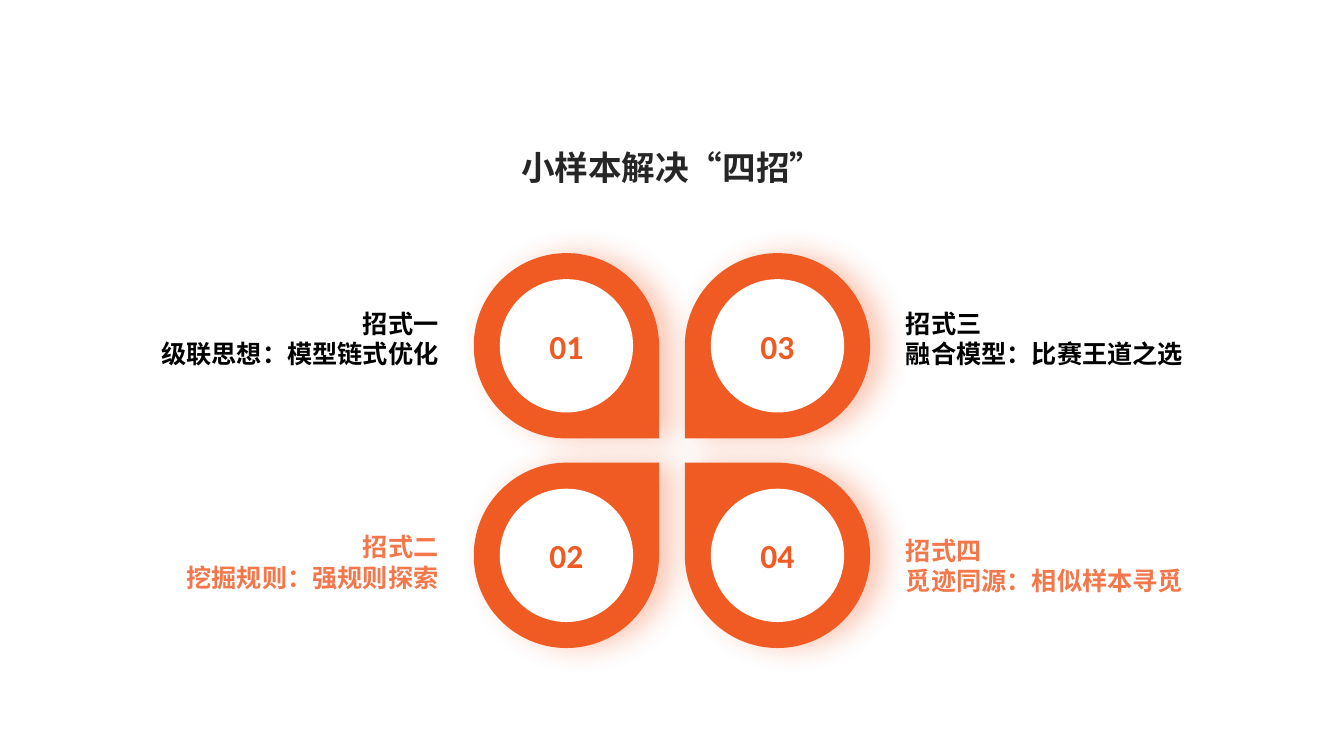
from dataclasses import dataclass

from lxml import etree
from pptx import Presentation
from pptx.dml.color import RGBColor
from pptx.enum import shapes, text
from pptx.oxml.ns import qn
from pptx.util import Cm, Pt

TITLE = "小样本解决“四招”"
# number, column, row, heading, detail, vertical anchor
MOVES = [
    ("01", 0, 0, "招式一", "级联思想：模型链式优化", text.MSO_ANCHOR.MIDDLE),
    ("02", 0, 1, "招式二", "挖掘规则：强规则探索", text.MSO_ANCHOR.MIDDLE),
    ("03", 1, 0, "招式三", "融合模型：比赛王道之选", text.MSO_ANCHOR.MIDDLE),
    ("04", 1, 1, "招式四", "觅迹同源：相似样本寻觅", text.MSO_ANCHOR.BOTTOM),
]


@dataclass(frozen=True)
class Theme:
    accent: str = "F05A23"
    white: str = "FFFFFF"
    title: str = "262626"
    row_colors: tuple = ("000000", "F3774B")
    title_font: str = "Noto Sans CJK SC"
    number_font: str = "Calibri"
    label_font: str = "Arial"
    large: int = 24
    label: int = 18


THEME = Theme()
PETAL_LEFT, PETAL_TOP, PETAL_SIZE = 11.94, 6.38, 4.67
PITCH_X, PITCH_Y = 5.32, 5.28
DISC_SIZE = 3.36
DISC_INSET = (PETAL_SIZE - DISC_SIZE) / 2
LABEL_LEFTS, LABEL_TOPS = (1.88, 22.58), (7.54, 13.18)
LABEL_WIDTH, LABEL_HEIGHT = 9.42, 1.96


def add_run(paragraph, words, font_name, size, color):
    run = paragraph.add_run()
    run.text = words
    run.font.name = font_name
    run.font.size = Pt(size)
    run.font.bold = True
    run.font.color.rgb = RGBColor.from_string(color)
    east_asian = etree.SubElement(run.font._element, qn("a:ea"))
    east_asian.set("typeface", font_name)


def add_filled(slide, kind, left, top, size, color):
    shape = slide.shapes.add_shape(kind, Cm(left), Cm(top), Cm(size), Cm(size))
    shape.shadow.inherit = False
    shape.fill.solid()
    shape.fill.fore_color.rgb = RGBColor.from_string(color)
    shape.line.fill.background()
    return shape


def add_glow(shape):
    """Give the shape a soft accent shadow, thrown to the right."""
    effects = shape.element.spPr.find(qn("a:effectLst"))
    shadow = etree.SubElement(
        effects, qn("a:outerShdw"), blurRad=str(Pt(20)), dist=str(Pt(10)),
        dir="0", algn="l", rotWithShape="0")
    color = etree.SubElement(shadow, qn("a:srgbClr"), val=THEME.accent)
    etree.SubElement(color, qn("a:alpha"), val="32000")


def add_petal(slide, number, column, row):
    left, top = PETAL_LEFT + column * PITCH_X, PETAL_TOP + row * PITCH_Y
    petal = add_filled(slide, shapes.MSO_SHAPE.TEAR, left, top, PETAL_SIZE, THEME.accent)
    add_glow(petal)
    # The tip starts at the top right; flips point it at the centre.
    frame = petal.element.spPr.find(qn("a:xfrm"))
    if column == 1:
        frame.set("flipH", "1")
    if row == 0:
        frame.set("flipV", "1")

    disc = add_filled(slide, shapes.MSO_SHAPE.OVAL, left + DISC_INSET,
                      top + DISC_INSET, DISC_SIZE, THEME.white)
    disc.text_frame.vertical_anchor = text.MSO_ANCHOR.MIDDLE
    paragraph = disc.text_frame.paragraphs[0]
    paragraph.alignment = text.PP_ALIGN.CENTER
    add_run(paragraph, number, THEME.number_font, THEME.large, THEME.accent)


def add_label(slide, column, row, lines, anchor):
    box = slide.shapes.add_textbox(Cm(LABEL_LEFTS[column]), Cm(LABEL_TOPS[row]),
                                   Cm(LABEL_WIDTH), Cm(LABEL_HEIGHT))
    frame = box.text_frame
    frame.word_wrap = True
    frame.vertical_anchor = anchor
    for index, line in enumerate(lines):
        paragraph = frame.add_paragraph() if index else frame.paragraphs[0]
        paragraph.alignment = (text.PP_ALIGN.RIGHT, text.PP_ALIGN.LEFT)[column]
        add_run(paragraph, line, THEME.label_font, THEME.label, THEME.row_colors[row])


def set_title(slide):
    title = slide.shapes.title
    title.left, title.top = Cm(1.85), Cm(3.15)
    title.width, title.height = Cm(30.18), Cm(1.7)
    title.text_frame.vertical_anchor = text.MSO_ANCHOR.BOTTOM
    title.text_frame.auto_size = text.MSO_AUTO_SIZE.NONE
    paragraph = title.text_frame.paragraphs[0]
    paragraph.alignment = text.PP_ALIGN.CENTER
    add_run(paragraph, TITLE, THEME.title_font, THEME.large, THEME.title)


def main():
    presentation = Presentation()
    presentation.slide_width, presentation.slide_height = Cm(33.87), Cm(19.05)
    slide = presentation.slides.add_slide(presentation.slide_layouts[5])
    set_title(slide)
    for number, column, row, heading, detail, anchor in MOVES:
        add_petal(slide, number, column, row)
        add_label(slide, column, row, (heading, detail), anchor)
    presentation.save("out.pptx")


if __name__ == "__main__":
    main()
